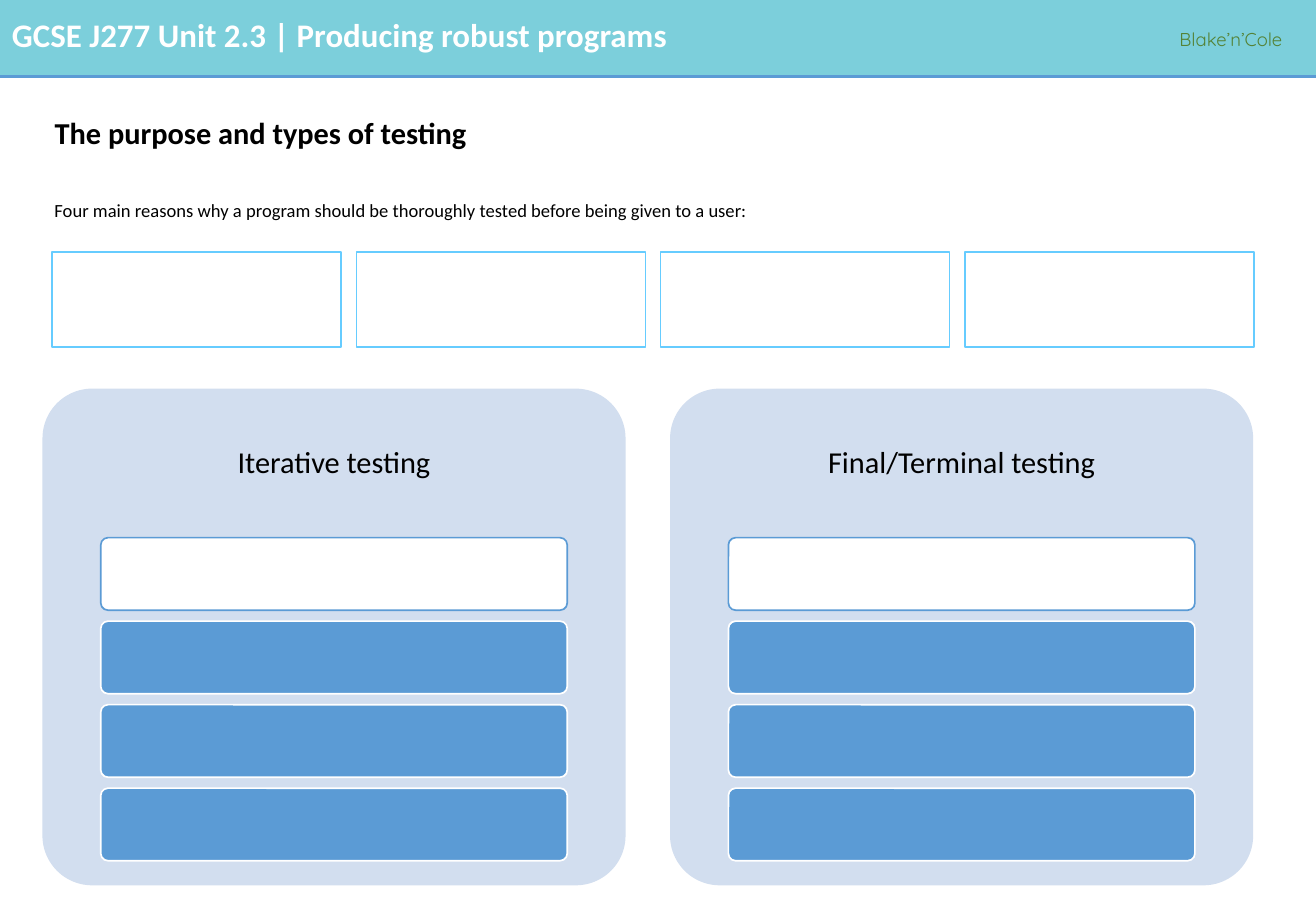
from lxml import etree
from pptx import Presentation
from pptx.dml.color import RGBColor
from pptx.enum.shapes import MSO_CONNECTOR, MSO_SHAPE
from pptx.enum.text import MSO_ANCHOR, PP_ALIGN
from pptx.oxml.ns import qn
from pptx.util import Pt

WHITE = RGBColor(0xFF, 0xFF, 0xFF)
BLACK = RGBColor(0x00, 0x00, 0x00)
TEAL = RGBColor(0x7C, 0xCF, 0xDB)
BLUE = RGBColor(0x5B, 0x9B, 0xD5)
PALE_BLUE = RGBColor(0xD2, 0xDE, 0xEF)
SKY = RGBColor(0x66, 0xCC, 0xFF)
GREEN = RGBColor(0x54, 0x82, 0x35)

SLIDE_WIDTH, SLIDE_HEIGHT = 780, 540
HEADER_HEIGHT = 45.4
REASON_COUNT, REASON_LEFT, REASON_STEP = 4, 30.9, 180.3
PANEL_TOP, PANEL_WIDTH, PANEL_HEIGHT = 230.4, 345.6, 294.4
PANELS = ((25.2, "Iterative testing"), (397.2, "Final/Terminal testing"))
HEADING_HEIGHT = 88.3
ROW_COUNT, ROW_STEP, ROW_HEIGHT = 4, 49.5, 43
ROW_WIDTH = PANEL_WIDTH * 0.8


def add_box(slide, kind, left, top, width, height, fill=None, line=None):
    shape = slide.shapes.add_shape(kind, Pt(left), Pt(top), Pt(width), Pt(height))
    shape.shadow.inherit = False
    if fill is None:
        shape.fill.background()
    else:
        shape.fill.solid()
        shape.fill.fore_color.rgb = fill
    if line is None:
        shape.line.fill.background()
    else:
        shape.line.color.rgb = line
        shape.line.width = Pt(1)
    if kind == MSO_SHAPE.ROUNDED_RECTANGLE:
        shape.adjustments[0] = 0.1


def place(shape, left, top, width, height):
    shape.left, shape.top = Pt(left), Pt(top)
    shape.width, shape.height = Pt(width), Pt(height)


def write(shape, text, size, color=BLACK, bold=False, font="Calibri"):
    """Add one run to the first paragraph and return that paragraph."""
    shape.text_frame.word_wrap = True
    paragraph = shape.text_frame.paragraphs[0]
    run = paragraph.add_run()
    run.text = text
    run.font.name = font
    run.font.size = Pt(size)
    run.font.bold = bold
    run.font.color.rgb = color
    return paragraph


def add_text(slide, left, top, width, height, text, size, **style):
    box = slide.shapes.add_textbox(Pt(left), Pt(top), Pt(width), Pt(height))
    return box.text_frame, write(box, text, size, **style)


def add_header(slide):
    add_box(slide, MSO_SHAPE.RECTANGLE, 0, 0, SLIDE_WIDTH, HEADER_HEIGHT, fill=TEAL)
    rule = slide.shapes.add_connector(
        MSO_CONNECTOR.STRAIGHT, 0, Pt(HEADER_HEIGHT), Pt(SLIDE_WIDTH), Pt(HEADER_HEIGHT))
    rule.line.color.rgb = BLUE
    rule.line.width = Pt(2.25)
    etree.SubElement(rule._element.spPr, qn("a:effectLst"))
    add_text(slide, 0, 5, 682.6, 31, "GCSE J277 Unit 2.3 | Producing robust programs",
             19.5, color=WHITE, bold=True)
    _, credit = add_text(slide, 691.9, 12.2, 88, 20.9, "Blake’n’Cole", 11,
                         color=GREEN, font="Quicksand")
    credit.line_spacing = 1.07
    credit.space_after = Pt(8)


def add_title(slide, text):
    title = slide.shapes.title
    place(title, 25.2, 59.8, 727.2, 40.3)
    title.text_frame.vertical_anchor = MSO_ANCHOR.MIDDLE
    paragraph = write(title, text, 18, bold=True)
    paragraph.alignment = PP_ALIGN.LEFT
    paragraph.line_spacing = 0.9


def add_panel(slide, left, heading):
    """Add a headed panel with one white row above its blue rows."""
    rounded = MSO_SHAPE.ROUNDED_RECTANGLE
    add_box(slide, rounded, left, PANEL_TOP, PANEL_WIDTH, PANEL_HEIGHT, fill=PALE_BLUE)
    frame, paragraph = add_text(slide, left, PANEL_TOP, PANEL_WIDTH, HEADING_HEIGHT,
                                heading, 18)
    frame.vertical_anchor = MSO_ANCHOR.MIDDLE
    frame.margin_left = frame.margin_right = Pt(5)
    frame.margin_top = frame.margin_bottom = Pt(5)
    paragraph.alignment = PP_ALIGN.CENTER
    paragraph.line_spacing = 0.9
    row_left = left + (PANEL_WIDTH - ROW_WIDTH) / 2
    for row in range(ROW_COUNT):
        fill, line = (WHITE, BLUE) if row == 0 else (BLUE, WHITE)
        add_box(slide, rounded, row_left, PANEL_TOP + HEADING_HEIGHT + row * ROW_STEP,
                ROW_WIDTH, ROW_HEIGHT, fill, line)


def main():
    presentation = Presentation()
    presentation.slide_width = Pt(SLIDE_WIDTH)
    presentation.slide_height = Pt(SLIDE_HEIGHT)
    slide = presentation.slides.add_slide(presentation.slide_layouts[5])
    add_header(slide)
    add_title(slide, "The purpose and types of testing")
    add_text(slide, 25.2, 114.5, 429.1, 20.9,
             "Four main reasons why a program should be thoroughly tested "
             "before being given to a user:", 11)
    for reason in range(REASON_COUNT):
        add_box(slide, MSO_SHAPE.RECTANGLE, REASON_LEFT + reason * REASON_STEP, 149.5,
                171.4, 56.2, line=SKY)
    for left, heading in PANELS:
        add_panel(slide, left, heading)
    presentation.save("out.pptx")


if __name__ == "__main__":
    main()
